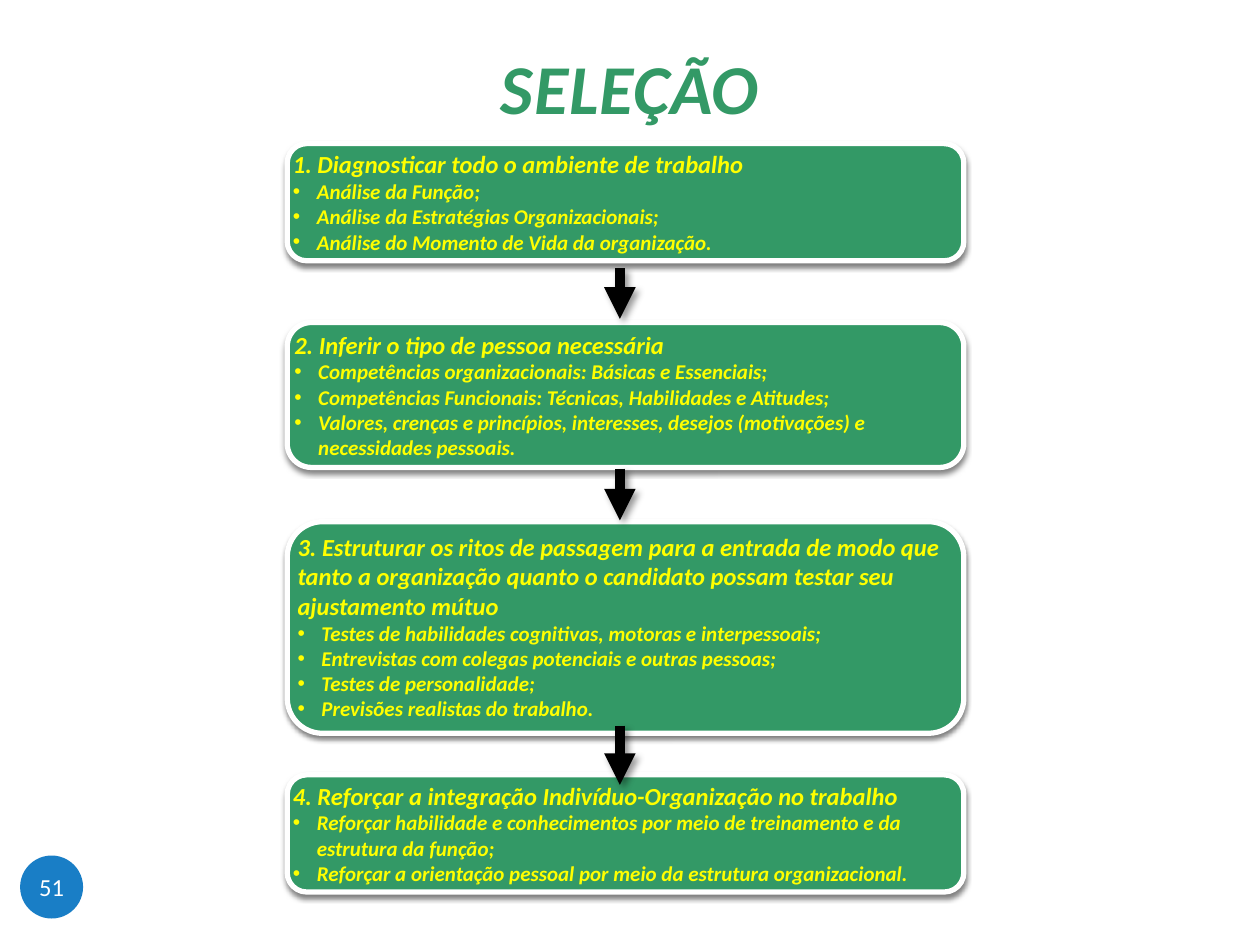
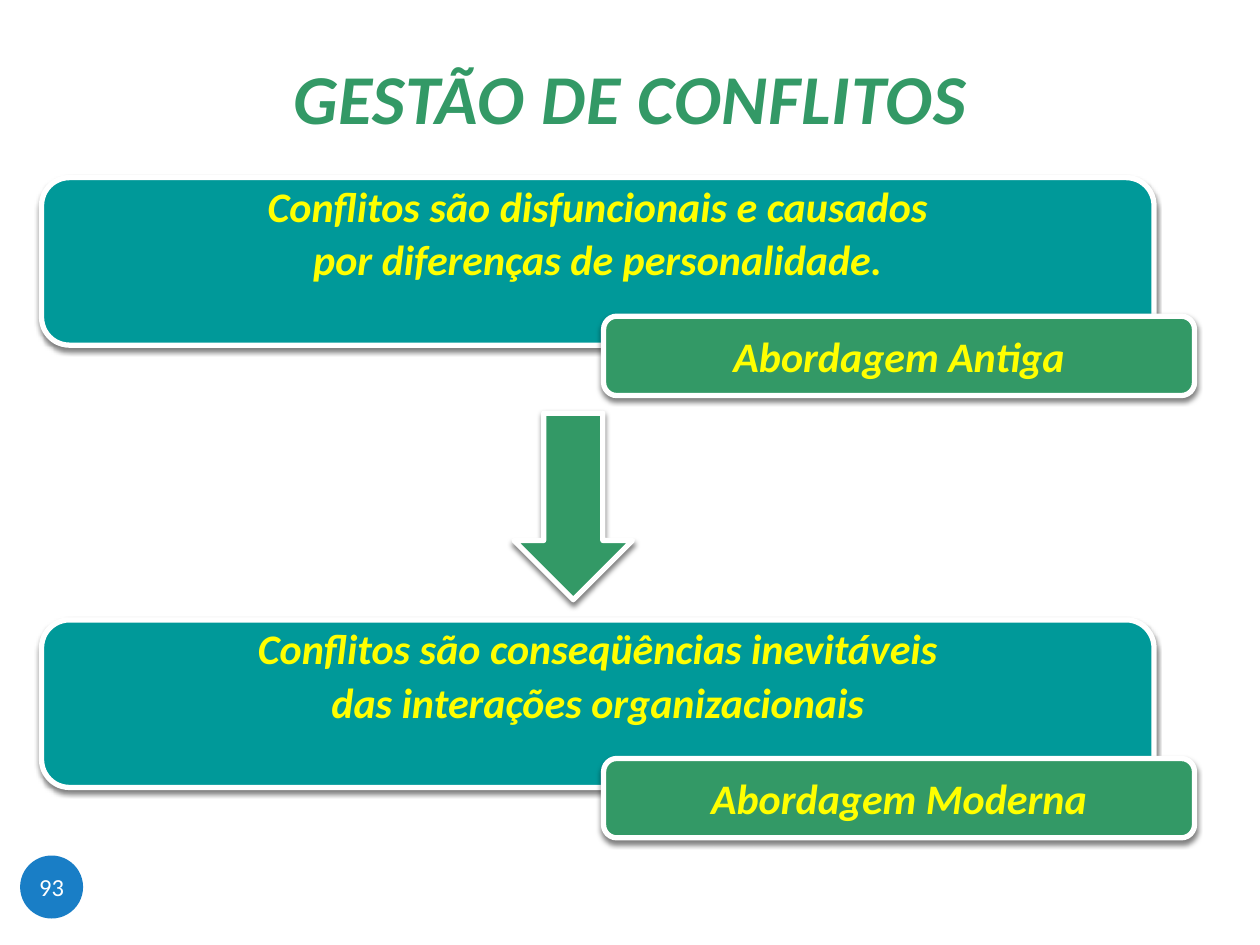
from lxml.etree import SubElement
from pptx import Presentation
from pptx.dml.color import RGBColor
from pptx.enum.shapes import MSO_CONNECTOR as CONN, MSO_SHAPE as SHAPE
from pptx.enum.text import MSO_ANCHOR as ANCHOR, PP_ALIGN as ALIGN
from pptx.oxml.ns import qn
from pptx.util import Inches, Pt

FONT = "Calibri"
GREEN, TEAL, BLUE = "339966", "009999", "0070C0"
YELLOW, WHITE, BLACK = "FFFF00", "FFFFFF", "000000"
W, H = 10, 7.5

# Selection steps: top, height, heading, bullets
STEPS = [
    (1.14, 0.93, "1. Diagnosticar todo o ambiente de trabalho",
     ["Análise da Função;",
      "Análise da Estratégias Organizacionais;",
      "Análise do Momento de Vida da organização."]),
    (2.56, 1.15, "2. Inferir o tipo de pessoa necessária",
     ["Competências organizacionais: Básicas e Essenciais;",
      "Competências Funcionais: Técnicas, Habilidades e Atitudes;",
      "Valores, crenças e princípios, interesses, desejos (motivações) e "
      "necessidades pessoais."]),
    (4.14, 1.68,
     "3. Estruturar os ritos de passagem para a entrada de modo que tanto a "
     "organização quanto o candidato possam testar seu ajustamento mútuo",
     ["Testes de habilidades cognitivas, motoras e interpessoais;",
      "Entrevistas com colegas potenciais e outras pessoas;",
      "Testes de personalidade;",
      "Previsões realistas do trabalho."]),
    (6.15, 0.93, "4. Reforçar a integração Indivíduo-Organização no trabalho",
     ["Reforçar habilidade e conhecimentos por meio de treinamento e da "
      "estrutura da função;",
      "Reforçar a orientação pessoal por meio da estrutura organizacional."]),
]
STEP_LEFT, STEP_WIDTH = 2.28, 5.37
ARROW_X = 4.92
ARROW_SPANS = [(2.13, 2.53), (3.72, 4.13), (5.76, 6.23)]

# Views of conflict: statement lines, label
VIEWS = [
    (["Conflitos são disfuncionais e causados",
      "por diferenças de personalidade."], "Abordagem Antiga"),
    (["Conflitos são conseqüências inevitáveis",
      "das interações organizacionais"], "Abordagem Moderna"),
]
VIEW_TOP, VIEW_PITCH, LABEL_DROP = 1.41, 3.51, 1.1


def rgb(color):
    return RGBColor.from_string(color)


def add_shadow(shape, alpha=50, blur=3, dist=2, angle=90):
    sp_pr = shape._element.spPr
    effects = sp_pr.find(qn("a:effectLst"))
    if effects is None:
        effects = SubElement(sp_pr, qn("a:effectLst"))
    outer = SubElement(effects, qn("a:outerShdw"), blurRad=str(Pt(blur)),
                       dist=str(Pt(dist)), dir=str(angle * 60000),
                       algn="ctr", rotWithShape="0")
    clr = SubElement(outer, qn("a:srgbClr"), val=BLACK)
    SubElement(clr, qn("a:alpha"), val=str(alpha * 1000))


def add_shape(s, kind, at, fill):
    sp = s.shapes.add_shape(kind, *map(Inches, at))
    sp.shadow.inherit = False
    sp.fill.solid()
    sp.fill.fore_color.rgb = rgb(fill)
    sp.line.fill.background()
    return sp


def add_card(s, kind, at, fill):
    """Filled shape with the white rim and soft shadow used on every slide."""
    sp = add_shape(s, kind, at, fill)
    sp.line.color.rgb = rgb(WHITE)
    sp.line.width = Pt(3)
    add_shadow(sp)
    return sp


def set_frame(sp, anchor=ANCHOR.MIDDLE, insets=(0, 0, 0, 0), wrap=True):
    tf = sp.text_frame
    tf.word_wrap = wrap
    tf.vertical_anchor = anchor
    tf.margin_left, tf.margin_top, tf.margin_right, tf.margin_bottom = map(
        Inches, insets)
    return tf


def add_text(tf, text, size, color=YELLOW, bold=True, italic=True,
             align=ALIGN.CENTER, bullet=False, spacing=None, before=0, track=0):
    """Write one paragraph, using the empty first one when there is one."""
    first = not tf.text
    p = tf.paragraphs[0] if first else tf.add_paragraph()
    p.alignment = align
    if spacing:
        p.line_spacing = spacing
    if before and not first:
        p.space_before = Pt(before)
    if bullet:
        p_pr = p._p.get_or_add_pPr()
        p_pr.set("marL", str(Inches(0.19)))
        p_pr.set("indent", str(Inches(-0.19)))
        SubElement(p_pr, qn("a:buFont"), typeface="Arial")
        SubElement(p_pr, qn("a:buChar"), char="•")
    r = p.add_run()
    r.text = text
    r.font.name, r.font.size = FONT, Pt(size)
    r.font.bold, r.font.italic = bold, italic
    r.font.color.rgb = rgb(color)
    if track:
        r._r.get_or_add_rPr().set("spc", str(int(track * 100)))


def add_arrow(s, x, top, bottom):
    c = s.shapes.add_connector(CONN.STRAIGHT, *map(Inches, (x, top, x, bottom)))
    c.line.color.rgb = rgb(BLACK)
    c.line.width = Pt(6)
    SubElement(c.line._get_or_add_ln(), qn("a:tailEnd"), type="triangle")
    add_shadow(c, alpha=40, blur=4, dist=3, angle=45)


def new_slide(prs, title, title_top, number):
    s = prs.slides.add_slide(prs.slide_layouts[6])
    box = s.shapes.add_textbox(*map(Inches, (0, title_top, W, 1.08)))
    tf = set_frame(box, insets=(0.1, 0.05, 0.1, 0.1))
    add_text(tf, title, 40, GREEN, track=0.5)
    badge = add_shape(s, SHAPE.OVAL, (0.16, 6.79, 0.5, 0.5), BLUE)
    clr = badge._element.spPr.find(".//" + qn("a:srgbClr"))
    SubElement(clr, qn("a:alpha"), val="90000")
    add_text(set_frame(badge, wrap=False), str(number), 14, WHITE,
             bold=False, italic=False)
    return s


def build_selection(prs):
    s = new_slide(prs, "SELEÇÃO", 0.17, 51)
    for top, height, heading, bullets in STEPS:
        card = add_card(s, SHAPE.ROUNDED_RECTANGLE,
                        (STEP_LEFT, top, STEP_WIDTH, height), GREEN)
        tf = set_frame(card, ANCHOR.TOP)
        add_text(tf, heading, 14, align=ALIGN.LEFT)
        for text in bullets:
            add_text(tf, text, 12, align=ALIGN.LEFT, bullet=True)
    for top, bottom in ARROW_SPANS:
        add_arrow(s, ARROW_X, top, bottom)


def build_conflicts(prs):
    s = new_slide(prs, "GESTÃO DE CONFLITOS", 0.25, 93)
    for i, (lines, label) in enumerate(VIEWS):
        top = VIEW_TOP + i * VIEW_PITCH
        panel = add_card(s, SHAPE.ROUNDED_RECTANGLE, (0.33, top, 8.83, 1.33), TEAL)
        tf = set_frame(panel, ANCHOR.TOP)
        for line in lines:
            add_text(tf, line, 24, spacing=0.9, before=4.8)
        tag = add_card(s, SHAPE.ROUNDED_RECTANGLE,
                       (4.79, top + LABEL_DROP, 4.69, 0.63), GREEN)
        add_text(set_frame(tag), label, 24)
    add_card(s, SHAPE.DOWN_ARROW, (4.08, 3.28, 0.94, 1.48), GREEN)


def main():
    prs = Presentation()
    prs.slide_width, prs.slide_height = Inches(W), Inches(H)
    build_selection(prs)
    build_conflicts(prs)
    prs.save("out.pptx")


if __name__ == "__main__":
    main()
